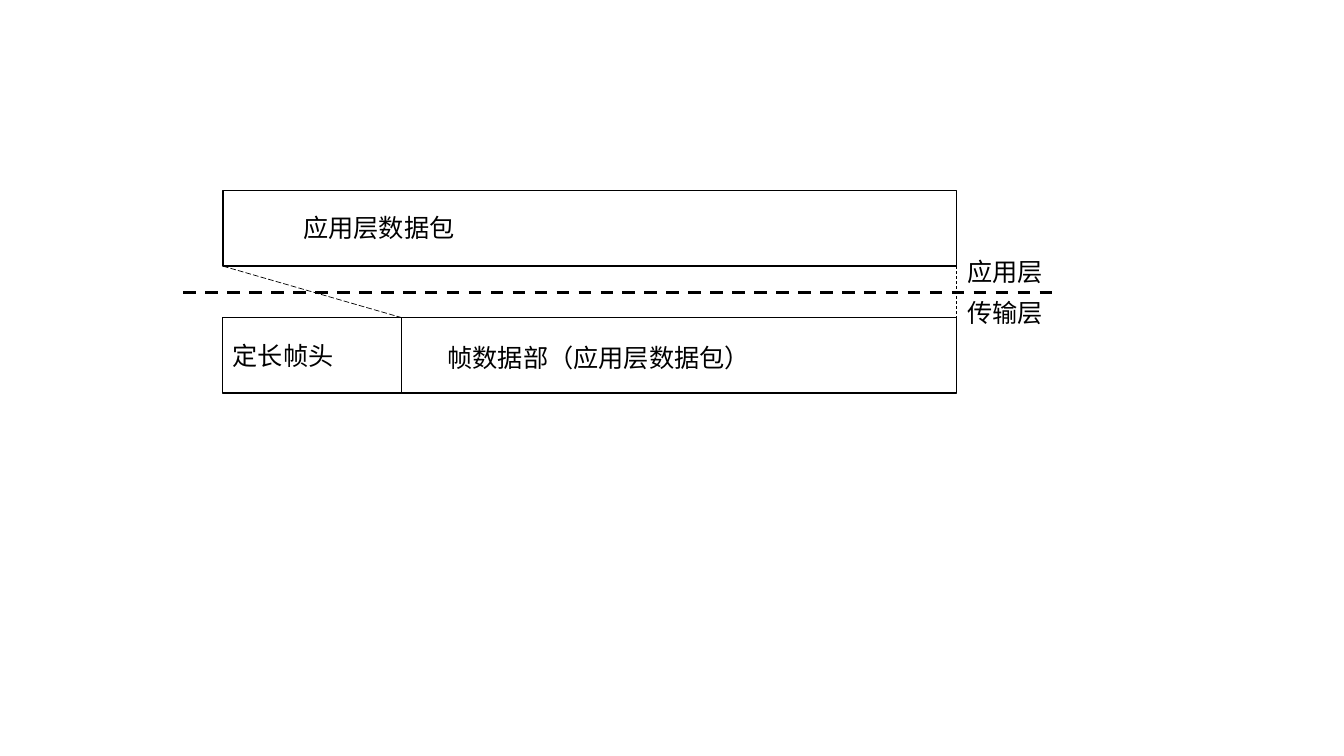
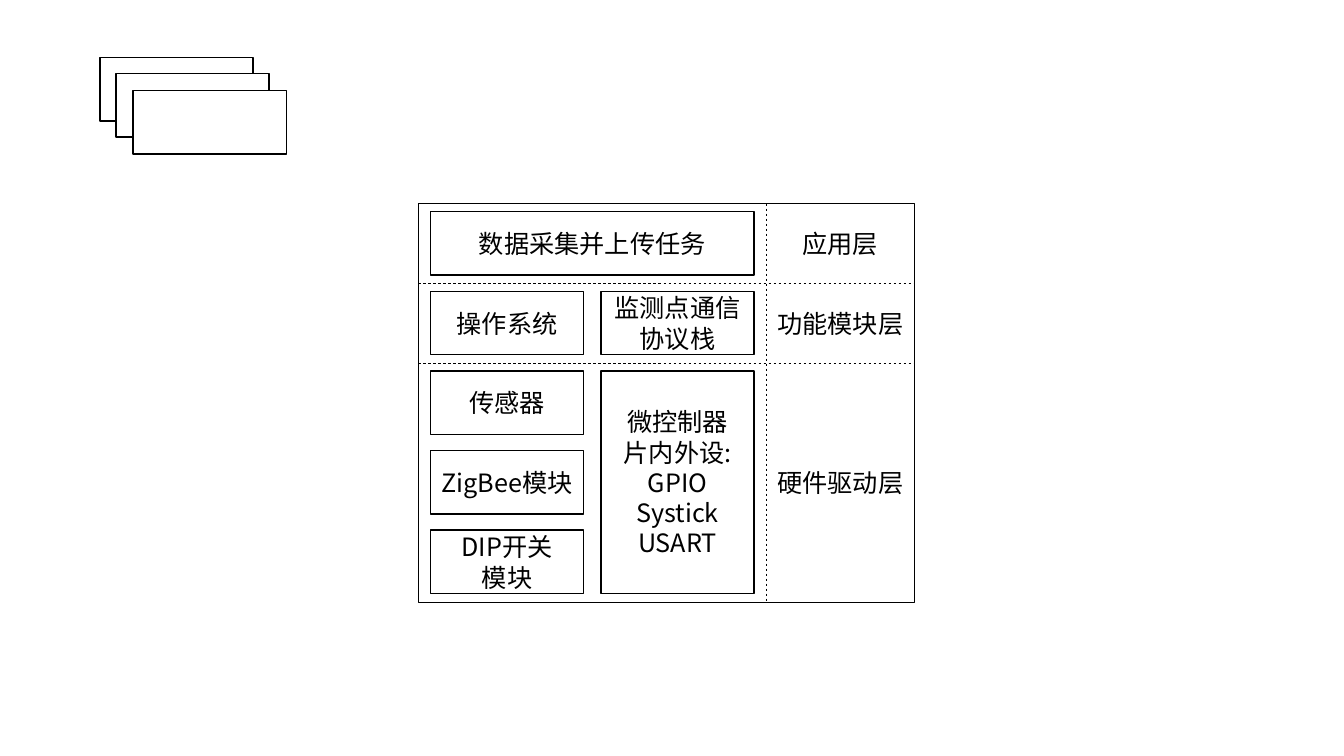
from pptx import Presentation
from pptx.dml.color import RGBColor
from pptx.enum.dml import MSO_LINE
from pptx.enum.shapes import MSO_CONNECTOR, MSO_SHAPE
from pptx.enum.text import MSO_ANCHOR, PP_ALIGN
from pptx.oxml.ns import qn
from pptx.util import Emu, Pt
from lxml import etree

# Shared look: 100 px to the inch
EMU_PER_PX = 9144
BLACK = RGBColor(0x00, 0x00, 0x00)
WHITE = RGBColor(0xFF, 0xFF, 0xFF)
CJK_FONT = "Noto Sans CJK SC"
LATIN_FONT = "Arial"
TEXT_SIZE = 18
BLANK_LAYOUT = 6


def px(length):
    return Emu(length * EMU_PER_PX)


def write_text(shape, text, font, align, wrap=True):
    """Put text in a shape, vertically centred, one paragraph per line."""
    frame = shape.text_frame
    frame.text = text
    frame.word_wrap = wrap
    frame.vertical_anchor = MSO_ANCHOR.MIDDLE
    for paragraph in frame.paragraphs:
        paragraph.alignment = align
        for run in paragraph.runs:
            run.font.size = Pt(TEXT_SIZE)
            run.font.name = font
            run.font.color.rgb = BLACK
            east_asian = etree.SubElement(run.font._element, qn("a:ea"))
            east_asian.set("typeface", CJK_FONT)


def add_box(slide, left, top, width, height, text="", font=CJK_FONT,
            align=PP_ALIGN.CENTER, filled=True):
    shape = slide.shapes.add_shape(
        MSO_SHAPE.RECTANGLE, px(left), px(top), px(width), px(height))
    shape.shadow.inherit = False
    if filled:
        shape.fill.solid()
        shape.fill.fore_color.rgb = WHITE
    else:
        shape.fill.background()
    shape.line.color.rgb = BLACK
    shape.line.width = Pt(1)
    if text:
        write_text(shape, text, font, align)


def add_label(slide, left, top, width, height, text, font=CJK_FONT,
              align=PP_ALIGN.CENTER):
    label = slide.shapes.add_textbox(px(left), px(top), px(width), px(height))
    write_text(label, text, font, align, wrap=align != PP_ALIGN.CENTER)


def add_dashed_line(slide, start, end, width=0.5, dash=MSO_LINE.DASH):
    line = slide.shapes.add_connector(
        MSO_CONNECTOR.STRAIGHT, *map(px, start + end))
    line.line.color.rgb = BLACK
    line.line.width = Pt(width)
    line.line.dash_style = dash
    etree.SubElement(line._element.spPr, qn("a:effectLst"))


def build_frame_format(slide):
    """An application packet carried inside a transport frame."""
    left, right, split = 221, 949, 398
    packet_top, frame_top, height = 189, 315, 75
    packet_bottom = packet_top + height
    boundary = 290

    # Packet, frame data and frame header
    add_box(slide, left, packet_top, right - left, height)
    add_label(slide, 291, 206, 588, 40, "应用层数据包", LATIN_FONT,
              PP_ALIGN.JUSTIFY)
    add_box(slide, split, frame_top, right - split, height)
    add_box(slide, left, frame_top, split - left, height, "定长帧头",
            LATIN_FONT, PP_ALIGN.JUSTIFY)
    add_label(slide, 434, 335, 479, 40, "帧数据部（应用层数据包）",
              LATIN_FONT, PP_ALIGN.JUSTIFY)

    # Layer boundary and the packet's projection into the frame
    add_dashed_line(slide, (182, boundary), (1044, boundary), 2.25)
    add_dashed_line(slide, (left, packet_bottom), (split, frame_top),
                    dash=MSO_LINE.LONG_DASH)
    add_dashed_line(slide, (right, packet_bottom), (right, frame_top))
    for top, text in ((boundary - 41, "应用层"), (boundary, "传输层")):
        add_label(slide, right, top, 96, 40, text, LATIN_FONT)


def build_software_layers(slide):
    """Software modules on a grid, grouped into three layers."""
    box_width, box_height = 152, 63
    column_pitch, row_pitch = 169, 79
    grid_left, grid_top = 427, 210
    frame_left, frame_top, frame_width, frame_height = 415, 202, 492, 396
    divider = 760
    frame_right = frame_left + frame_width

    # Stack of empty boxes
    for step in range(3):
        add_box(slide, 99 + 33 * step // 2, 57 + 33 * step // 2,
                box_width, box_height)

    # Modules: column, row, columns spanned, rows spanned, text
    modules = (
        (0, 0, 2, 1, "数据采集并上传任务"),
        (0, 1, 1, 1, "操作系统"),
        (1, 1, 1, 1, "监测点通信协议栈"),
        (0, 2, 1, 1, "传感器"),
        (0, 3, 1, 1, "ZigBee模块"),
        (0, 4, 1, 1, "DIP开关\n模块"),
        (1, 2, 1, 3, "微控制器\n片内外设:\nGPIO\nSystick\nUSART"),
    )
    for column, row, columns, rows, text in modules:
        add_box(slide,
                grid_left + column * column_pitch,
                grid_top + row * row_pitch,
                box_width + (columns - 1) * column_pitch,
                box_height + (rows - 1) * row_pitch, text)

    # Frame, layer names and dividers
    add_box(slide, frame_left, frame_top, frame_width, frame_height,
            filled=False)
    add_dashed_line(slide, (divider, frame_top),
                    (divider, frame_top + frame_height))
    layers = ((0, 1, "应用层"), (1, 1, "功能模块层"), (2, 3, "硬件驱动层"))
    for row, rows, text in layers:
        top = frame_top + row * row_pitch
        add_label(slide, divider, top, frame_right - divider,
                  rows * row_pitch, text)
        if row:
            add_dashed_line(slide, (frame_left, top), (frame_right, top))


def main():
    presentation = Presentation()
    presentation.slide_width = px(1333)
    presentation.slide_height = px(750)
    layout = presentation.slide_layouts[BLANK_LAYOUT]
    for build in (build_frame_format, build_software_layers):
        build(presentation.slides.add_slide(layout))
    presentation.save("out.pptx")


if __name__ == "__main__":
    main()
